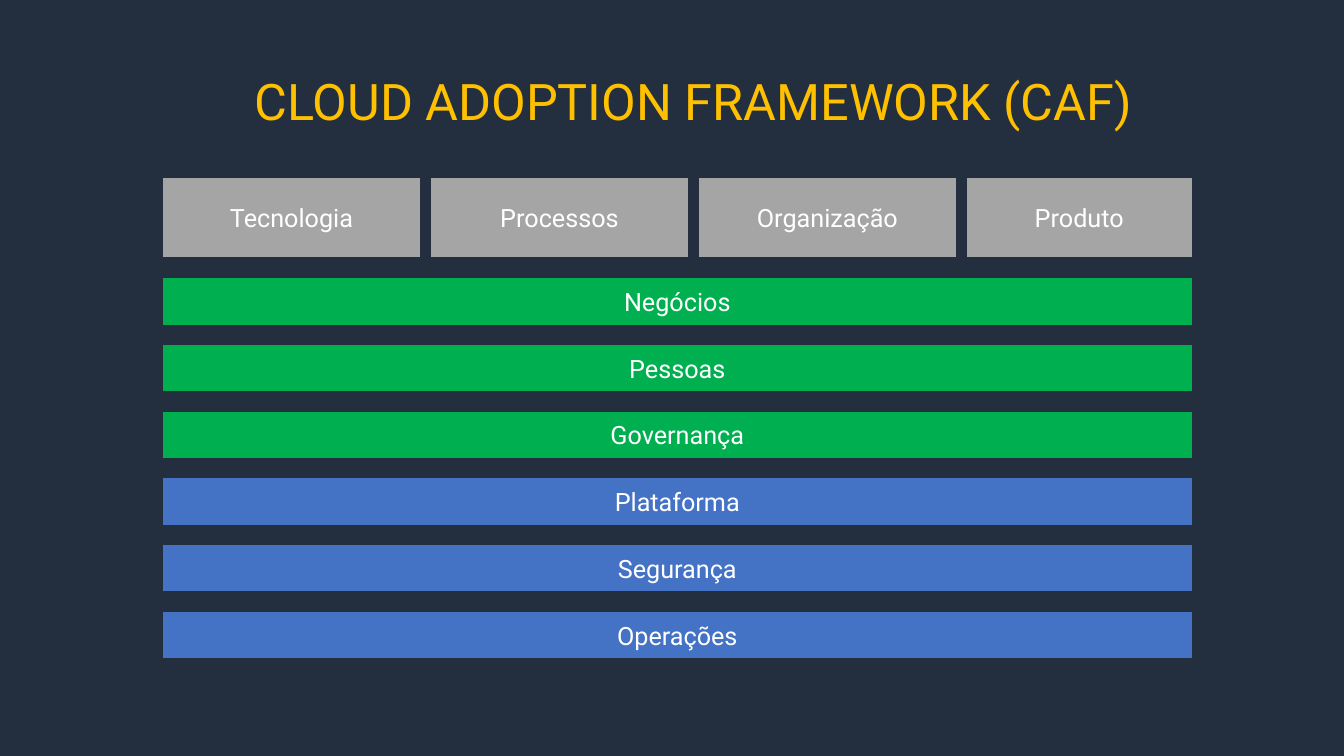
"""Build the Cloud Adoption Framework slide."""
from pptx import Presentation
from pptx.dml import color
from pptx.enum import shapes, text
from pptx.util import Pt

NAVY, GOLD, WHITE = "232F3E", "FFC000", "FFFFFF"
GREEN, BLUE, GRAY = "00B050", "4472C4", "A5A5A5"
LEFT, WIDE = 115.9, 735.8


def paint(item, tone):
    item.solid()
    item.fore_color.rgb = color.RGBColor.from_string(tone)


def write(shape, words, size, tone):
    frame = shape.text_frame
    frame.word_wrap = True
    frame.vertical_anchor = text.MSO_ANCHOR.MIDDLE
    para = frame.paragraphs[0]
    para.alignment = text.PP_ALIGN.CENTER
    run = para.add_run()
    run.text = words
    run.font.name = "Roboto"
    run.font.size = Pt(size)
    paint(run.font.fill, tone)
    return para


deck = Presentation()
deck.slide_width, deck.slide_height = Pt(960), Pt(540)
slide = deck.slides.add_slide(deck.slide_layouts[6])
paint(slide.background.fill, NAVY)

title = slide.shapes.add_textbox(Pt(LEFT), Pt(22.3), Pt(758.9), Pt(104.4))
write(title, "CLOUD ADOPTION FRAMEWORK (CAF)", 36, GOLD).line_spacing = 0.9

boxes = []
rows = ["Negócios", "Pessoas", "Governança", "Plataforma", "Segurança", "Operações"]
for i, name in enumerate(rows):
    tone = GREEN if i < 3 else BLUE
    boxes.append((name, tone, LEFT, 198.2 + 47.65 * i, WIDE, 34.2))

heads = ["Tecnologia", "Processos", "Organização", "Produto"]
for i, name in enumerate(heads):
    left = LEFT + 191.4 * i
    width = min(184.7, LEFT + WIDE - left)
    boxes.append((name, GRAY, left, 126.9, width, 57.5))

for name, tone, left, top, width, height in boxes:
    box = slide.shapes.add_shape(
        shapes.MSO_SHAPE.RECTANGLE, Pt(left), Pt(top), Pt(width), Pt(height))
    box.shadow.inherit = False
    paint(box.fill, tone)
    paint(box.line.fill, NAVY)
    box.line.width = Pt(1)
    write(box, name, 18, WHITE)

deck.save("out.pptx")
